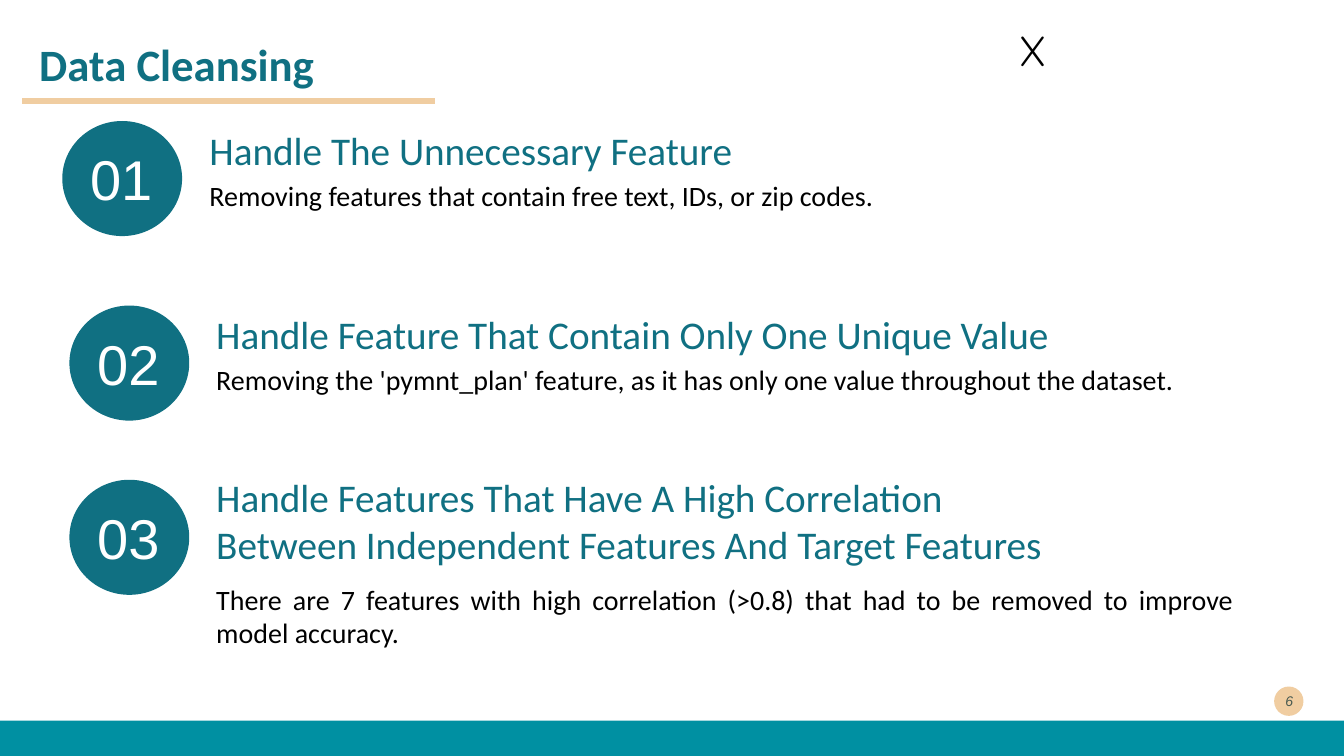
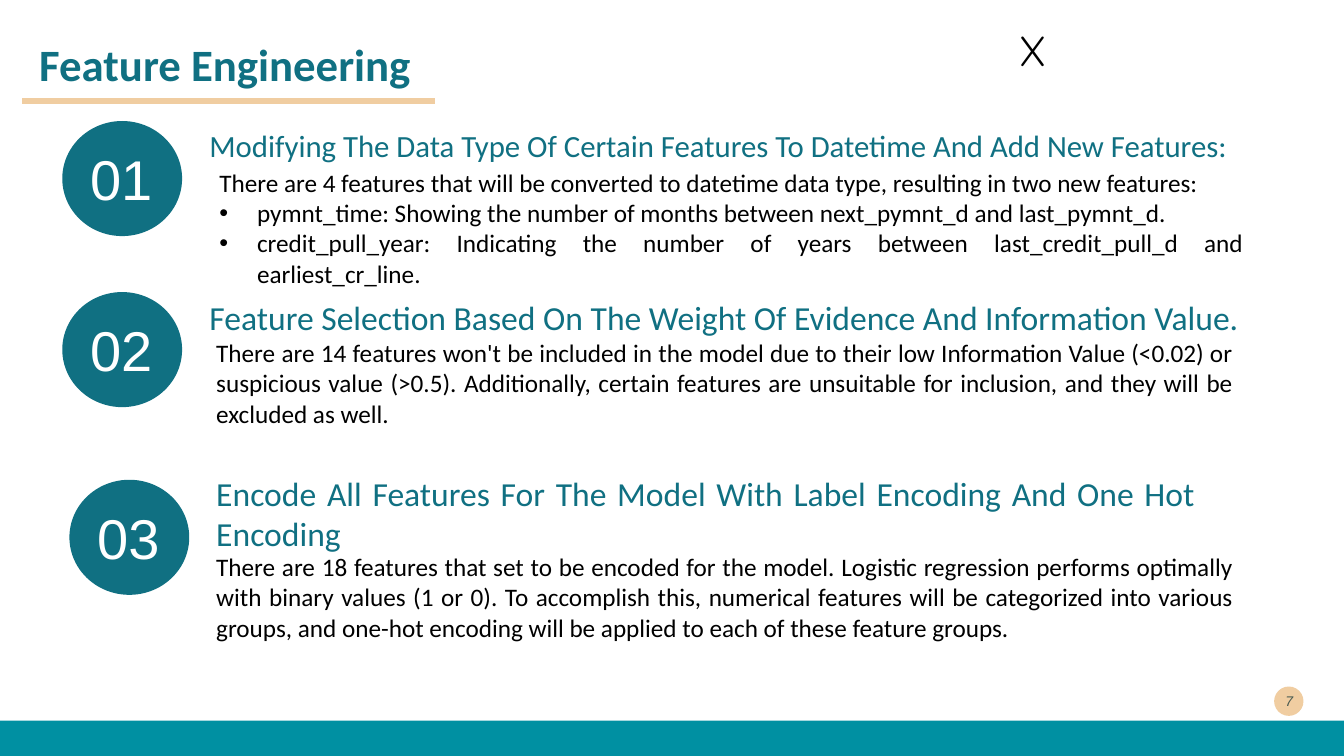
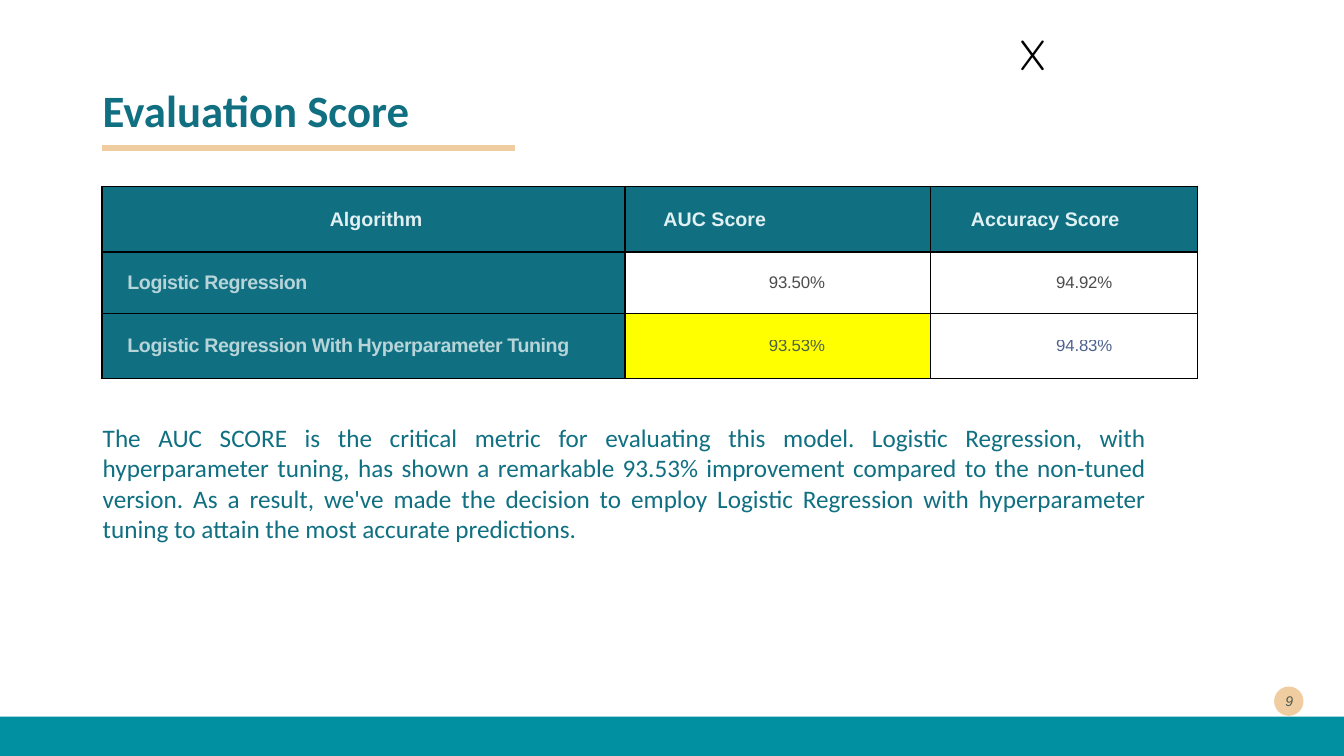
from dataclasses import dataclass
from typing import Optional

from lxml import etree
from pptx import Presentation
from pptx.dml.color import RGBColor
from pptx.enum import shapes, text
from pptx.oxml import ns
from pptx.util import Cm, Pt

TEAL = RGBColor(0x10, 0x70, 0x82)
BAND_TEAL = RGBColor(0x00, 0x90, 0xA2)
SAND = RGBColor(0xF0, 0xCD, 0xA1)
DARK = RGBColor(0x00, 0x29, 0x2E)
NAVY = RGBColor(0x00, 0x20, 0x60)
PALE = RGBColor(0xE0, 0xF0, 0xF3)
YELLOW = RGBColor(0xFF, 0xFF, 0x00)
BLACK = RGBColor(0x00, 0x00, 0x00)
WHITE = RGBColor(0xFF, 0xFF, 0xFF)

PAGE_WIDTH, PAGE_HEIGHT = 33.87, 19.05
CIRCLE_WIDTH, CIRCLE_HEIGHT = 3.02, 2.9
BULLET_INDENT = 0.95
LEFT, CENTER = text.PP_ALIGN.LEFT, text.PP_ALIGN.CENTER
RIGHT, JUSTIFY = text.PP_ALIGN.RIGHT, text.PP_ALIGN.JUSTIFY


@dataclass(frozen=True)
class Area:
    """A rectangle in centimetres."""
    left: float
    top: float
    width: float
    height: float


@dataclass(frozen=True)
class Frame:
    """The parts that every page has, where they may differ."""
    title: str
    number: int
    title_area: Area = Area(0.74, 0.58, 29.21, 2.24)
    rule_left: float = 0.56
    rule_top: float = 2.54
    mark_top: float = 0.36
    band_top: float = 18.16


@dataclass(frozen=True)
class Block:
    lines: tuple[str, ...]
    area: Area
    size: float
    before: float = 6
    bullets_from: Optional[int] = None


@dataclass(frozen=True)
class Step:
    circle_left: float
    circle_top: float
    heading: Block
    body: Block


@dataclass(frozen=True)
class ScoreCell:
    text: str
    indent: float
    color: RGBColor
    fill: Optional[RGBColor] = None
    size: float = 14
    bold: bool = True
    align: text.PP_ALIGN = LEFT
    alpha: int = 100
    spacing: float = 0
    before: float = 4.2


def add_child(parent, tag: str, **attributes: str):
    return etree.SubElement(parent, ns.qn(tag), attributes)


def format_span(span, *, size: float, color: RGBColor, font: str = "Calibri", bold: bool = False,
                italic: bool = False, alpha: int = 100, spacing: float = 0) -> None:
    span.font.name = font
    span.font.size = Pt(size)
    span.font.bold = bold
    span.font.italic = italic
    span.font.color.rgb = color
    properties = span._r.get_or_add_rPr()
    if alpha < 100:
        add_child(next(properties.iter(ns.qn("a:srgbClr"))), "a:alpha", val=str(alpha * 1000))
    if spacing:
        properties.set("spc", str(round(spacing * 100)))


def add_text(page, lines: tuple[str, ...], area: Area, *, align=LEFT, before: float = 0,
             line_spacing: float = 1.0, bullets_from: Optional[int] = None, middle: bool = False,
             grow: bool = True, inset: Optional[float] = None, **style) -> None:
    """Add a text box with one paragraph a line; before applies to the first one."""
    box = page.shapes.add_textbox(Cm(area.left), Cm(area.top), Cm(area.width), Cm(area.height))
    frame = box.text_frame
    frame.word_wrap = True
    frame.auto_size = text.MSO_AUTO_SIZE.SHAPE_TO_FIT_TEXT if grow else text.MSO_AUTO_SIZE.NONE
    frame.vertical_anchor = text.MSO_ANCHOR.MIDDLE if middle else text.MSO_ANCHOR.TOP
    if inset is not None:
        frame.margin_left = frame.margin_right = Cm(inset)
        frame.margin_top = frame.margin_bottom = Cm(inset)
    for index, line in enumerate(lines):
        para = frame.add_paragraph() if index else frame.paragraphs[0]
        para.alignment = align
        para.line_spacing = line_spacing
        para.space_before = Pt(0 if index else before)
        span = para.add_run()
        span.text = line
        format_span(span, **style)
        if bullets_from is not None and index >= bullets_from:
            properties = para._p.get_or_add_pPr()
            properties.set("marL", str(Cm(BULLET_INDENT)))
            properties.set("indent", str(-Cm(BULLET_INDENT)))
            add_child(properties, "a:buFont", typeface="Arial")
            add_child(properties, "a:buChar", char="•")


def add_plain_shape(page, kind, area: Area, color: RGBColor) -> None:
    shape = page.shapes.add_shape(kind, Cm(area.left), Cm(area.top), Cm(area.width), Cm(area.height))
    shape.shadow.inherit = False
    shape.fill.solid()
    shape.fill.fore_color.rgb = color
    shape.line.fill.background()


def add_page(deck, frame: Frame):
    """Add a blank page with title, rule, mark, band and page number."""
    page = deck.slides.add_slide(deck.slide_layouts[6])
    add_text(page, (frame.title,), frame.title_area, middle=True, grow=False, line_spacing=0.9,
             size=32, color=TEAL, bold=True)
    rule_top = Cm(frame.rule_top)
    rule = page.shapes.add_connector(shapes.MSO_CONNECTOR.STRAIGHT, Cm(frame.rule_left), rule_top,
                                     Cm(frame.rule_left + 10.4), rule_top)
    rule.line.color.rgb = SAND
    rule.line.width = Pt(4.32)
    add_child(rule._element.spPr, "a:effectLst")
    add_text(page, ("X",), Area(25.45, frame.mark_top, 1.27, 1.8), inset=0.25,
             size=30, color=BLACK, font="Quicksand")
    add_plain_shape(page, shapes.MSO_SHAPE.OVAL, Area(32.11, 17.3, 0.74, 0.74), SAND)
    add_text(page, (str(frame.number),), Area(31.85, 17.15, 0.99, 1.02), align=RIGHT, middle=True,
             grow=False, size=10, color=DARK, font="Arial", italic=True, alpha=70)
    add_plain_shape(page, shapes.MSO_SHAPE.RECTANGLE,
                    Area(0, frame.band_top, PAGE_WIDTH, PAGE_HEIGHT - frame.band_top), BAND_TEAL)
    return page


def add_block(page, block: Block, color: RGBColor) -> None:
    add_text(page, block.lines, block.area, align=JUSTIFY, before=block.before,
             bullets_from=block.bullets_from, size=block.size, color=color)


def add_steps_page(deck, frame: Frame, steps: tuple[Step, ...]) -> None:
    page = add_page(deck, frame)
    for number, step in enumerate(steps, start=1):
        add_plain_shape(page, shapes.MSO_SHAPE.OVAL,
                        Area(step.circle_left, step.circle_top, CIRCLE_WIDTH, CIRCLE_HEIGHT), TEAL)
        add_text(page, (f"{number:02}",),
                 Area(step.circle_left + 0.45, step.circle_top + 0.47, CIRCLE_WIDTH, 1.96),
                 size=40, color=WHITE, font="Arial")
        add_block(page, step.heading, TEAL)
        add_block(page, step.body, BLACK)


def fill_cell(cell, content: ScoreCell) -> None:
    cell.margin_left = cell.margin_right = cell.margin_top = cell.margin_bottom = 0
    cell.vertical_anchor = text.MSO_ANCHOR.MIDDLE
    properties = cell._tc.get_or_add_tcPr()
    for side in ("L", "R", "T", "B"):
        border = add_child(properties, f"a:ln{side}", w=str(Pt(1)))
        add_child(add_child(border, "a:solidFill"), "a:srgbClr", val=str(BLACK))
    if content.fill is None:
        cell.fill.background()
    else:
        cell.fill.solid()
        cell.fill.fore_color.rgb = content.fill
    para = cell.text_frame.paragraphs[0]
    para.alignment = content.align
    para.space_before = Pt(content.before)
    para._p.get_or_add_pPr().set("marL", str(Cm(content.indent)))
    span = para.add_run()
    span.text = content.text
    format_span(span, size=content.size, color=content.color, font="Arial", bold=content.bold,
                alpha=content.alpha, spacing=content.spacing)


def header_cell(label: str, indent: float, align=LEFT) -> ScoreCell:
    return ScoreCell(label, indent, PALE, TEAL, align=align, before=7.8)


def name_cell(label: str) -> ScoreCell:
    return ScoreCell(label, 0.64, WHITE, TEAL, alpha=70, spacing=-0.3)


def value_cell(value: str, indent: float, color: RGBColor, fill: Optional[RGBColor] = None) -> ScoreCell:
    return ScoreCell(value, indent, color, fill, size=12, bold=False, align=CENTER,
                     alpha=70, spacing=-0.1)


def add_score_table(page) -> None:
    columns = (13.18, 7.7, 6.73)
    heights = (1.65, 1.55, 1.63)
    rows = (
        (header_cell("Algorithm", 0.64, CENTER), header_cell("AUC Score", 0.97),
         header_cell("Accuracy Score", 1.02)),
        (name_cell("Logistic Regression"), value_cell("93.50%", 0.97, BLACK),
         value_cell("94.92%", 1.02, BLACK)),
        (name_cell("Logistic Regression With Hyperparameter Tuning"),
         value_cell("93.53%", 0.97, NAVY, YELLOW), value_cell("94.83%", 1.02, NAVY)),
    )
    table = page.shapes.add_table(len(rows), len(columns), Cm(2.57), Cm(4.7),
                                  Cm(sum(columns)), Cm(sum(heights))).table
    table.first_row = table.horz_banding = False
    for column, width in zip(table.columns, columns):
        column.width = Cm(width)
    for row, height, contents in zip(table.rows, heights, rows):
        row.height = Cm(height)
        for cell, content in zip(row.cells, contents):
            fill_cell(cell, content)


CLEANSING_STEPS = (
    Step(1.57, 3.05,
         Block(("Handle The Unnecessary Feature",), Area(5.03, 3.05, 16.26, 1.45), 28),
         Block(("Removing features that contain free text, IDs, or zip codes.",),
               Area(5.03, 4.37, 18.08, 1.12), 20)),
    Step(1.75, 7.7,
         Block(("Handle Feature That Contain Only One Unique Value",),
               Area(5.2, 7.7, 23.6, 1.45), 28),
         Block(("Removing the 'pymnt_plan' feature, as it has only one value throughout the dataset.",),
               Area(5.2, 9.02, 26.14, 1.12), 20)),
    Step(1.75, 12.09,
         Block(("Handle Features That Have A High Correlation",
                "Between Independent Features And Target Features"),
               Area(5.2, 11.79, 25.17, 2.64), 28),
         Block(("There are 7 features with high correlation (>0.8) that had to be removed to improve "
                "model accuracy.",), Area(5.2, 14.55, 26.14, 1.96), 20)),
)

ENGINEERING_STEPS = (
    Step(1.57, 3.05,
         Block(("Modifying The Data Type Of Certain Features To Datetime And Add New Features:",),
               Area(5.03, 3.07, 28.58, 1.19), 22, before=0),
         Block(("There are 4 features that will be converted to datetime data type, resulting in two "
                "new features:",
                "pymnt_time: Showing the number of months between next_pymnt_d and last_pymnt_d.",
                "credit_pull_year: Indicating the number of years between last_credit_pull_d and "
                "earliest_cr_line."),
               Area(5.28, 4.09, 26.31, 3.33), 18, before=0, bullets_from=1)),
    Step(1.57, 7.36,
         Block(("Feature Selection Based On The Weight Of Evidence And Information Value.",),
               Area(5.03, 7.36, 26.8, 1.27), 24),
         Block(("There are 14 features won't be included in the model due to their low Information "
                "Value (<0.02) or suspicious value (>0.5). Additionally, certain features are "
                "unsuitable for inclusion, and they will be excluded as well.",),
               Area(5.2, 8.38, 26.14, 2.57), 18)),
    Step(1.75, 12.09,
         Block(("Encode All Features For The Model With Label Encoding And One Hot Encoding",),
               Area(5.2, 11.79, 25.17, 2.31), 24, before=0),
         Block(("There are 18 features that set to be encoded for the model. Logistic regression "
                "performs optimally with binary values (1 or 0). To accomplish this, numerical "
                "features will be categorized into various groups, and one-hot encoding will be "
                "applied to each of these feature groups.",),
               Area(5.2, 13.77, 26.14, 2.57), 18)),
)

CONCLUSION = Block(
    ("The AUC SCORE is the critical metric for evaluating this model. Logistic Regression, with "
     "hyperparameter tuning, has shown a remarkable 93.53% improvement compared to the non-tuned "
     "version. As a result, we've made the decision to employ Logistic Regression with "
     "hyperparameter tuning to attain the most accurate predictions.",),
    Area(2.34, 10.52, 26.8, 4.57), 18)


def main() -> None:
    deck = Presentation()
    deck.slide_width, deck.slide_height = Cm(PAGE_WIDTH), Cm(PAGE_HEIGHT)
    add_steps_page(deck, Frame("Data Cleansing", 6), CLEANSING_STEPS)
    add_steps_page(deck, Frame("Feature Engineering", 7), ENGINEERING_STEPS)
    page = add_page(deck, Frame("Evaluation Score", 9, Area(2.34, 1.02, 29.21, 3.68),
                                rule_left=2.57, rule_top=3.73, mark_top=0.46, band_top=18.06))
    add_score_table(page)
    add_block(page, CONCLUSION, TEAL)
    deck.save("out.pptx")


if __name__ == "__main__":
    main()
